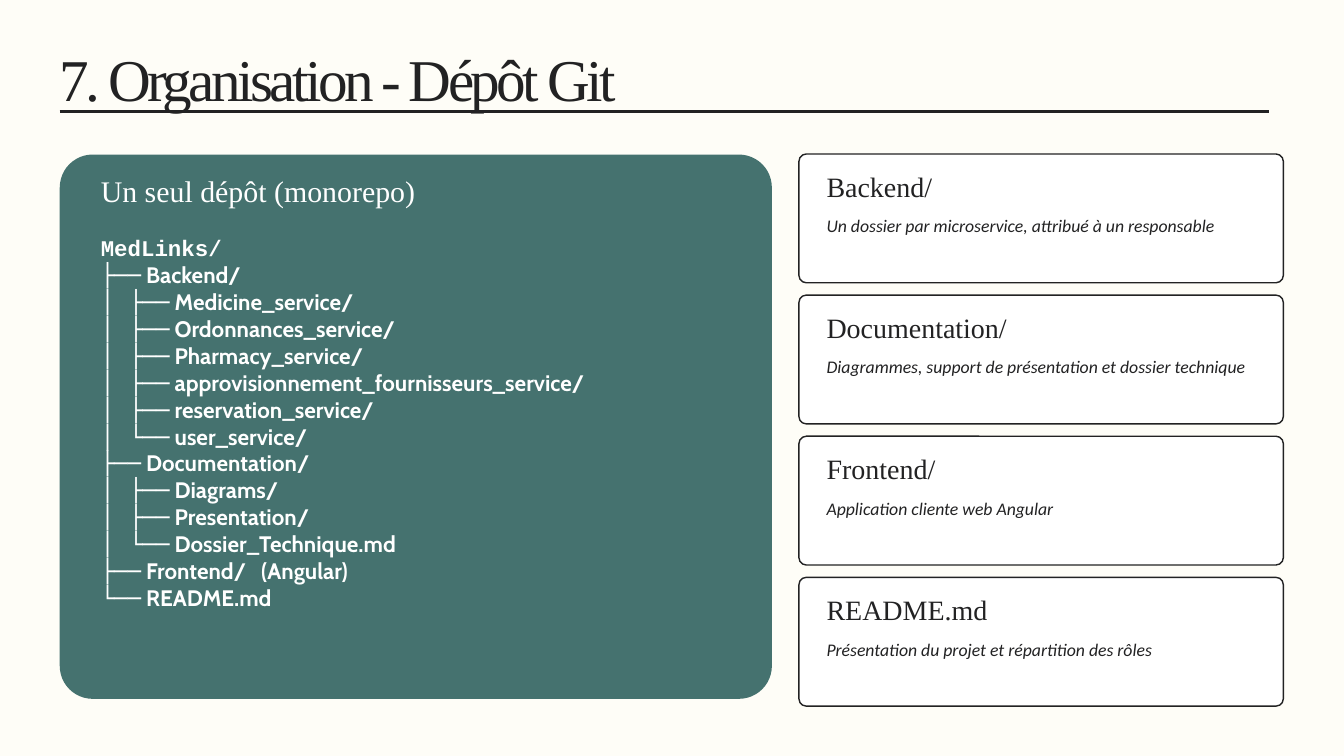
from lxml import etree
from pptx import Presentation
from pptx.dml.color import RGBColor
from pptx.enum.shapes import MSO_CONNECTOR, MSO_SHAPE
from pptx.oxml.ns import qn
from pptx.util import Pt

ROUNDED = MSO_SHAPE.ROUNDED_RECTANGLE
STRAIGHT = MSO_CONNECTOR.STRAIGHT

COLORS = {"paper": "FEFDF7", "ink": "222223", "teal": "45726F", "white": "FFFFFF"}
SERIF, SANS, MONO, TREE = "Times New Roman", "Calibri", "Courier New", "Cabin"

TREE_LINES = [
    "├── Backend/",
    "│   ├── Medicine_service/",
    "│   ├── Ordonnances_service/",
    "│   ├── Pharmacy_service/",
    "│   ├── approvisionnement_fournisseurs_service/",
    "│   ├── reservation_service/",
    "│   └── user_service/",
    "├── Documentation/",
    "│   ├── Diagrams/",
    "│   ├── Presentation/",
    "│   └── Dossier_Technique.md",
    "├── Frontend/   (Angular)",
    "└── README.md",
]

CARDS = [
    ("Backend/", "Un dossier par microservice, attribué à un responsable"),
    ("Documentation/", "Diagrammes, support de présentation et dossier technique"),
    ("Frontend/", "Application cliente web Angular"),
    ("README.md", "Présentation du projet et répartition des rôles"),
]
CARD_LEFT, CARD_TOP, CARD_WIDTH, CARD_HEIGHT = 856, 165, 519, 138
CARD_STEP = 151.2


def color(name):
    return RGBColor.from_string(COLORS[name])


def add_text_box(slide, left, top, width, height):
    """Add an empty wrapping text box without margins and return its text frame."""
    box = slide.shapes.add_textbox(Pt(left), Pt(top), Pt(width), Pt(height))
    frame = box.text_frame
    frame.word_wrap = True
    frame.margin_left = frame.margin_top = 0
    frame.margin_right = frame.margin_bottom = 0
    return frame


def write_line(paragraph, text, font, size, spacing, ink,
               bold=False, italic=False, tracking=0):
    paragraph.line_spacing = Pt(spacing)
    run = paragraph.add_run()
    run.text = text
    run.font.name = font
    run.font.size = Pt(size)
    run.font.bold = bold
    run.font.italic = italic
    run.font.color.rgb = color(ink)
    if tracking:
        run._r.get_or_add_rPr().set("spc", str(round(tracking * 100)))


def add_rounded_box(slide, left, top, width, height, radius, fill, outline=None):
    shape = slide.shapes.add_shape(ROUNDED, Pt(left), Pt(top), Pt(width), Pt(height))
    shape.shadow.inherit = False
    shape.adjustments[0] = radius / min(width, height)
    shape.fill.solid()
    shape.fill.fore_color.rgb = color(fill)
    if outline:
        shape.line.color.rgb = color(outline)
        shape.line.width = Pt(1.5)
    else:
        shape.line.fill.background()


def add_title(slide):
    frame = add_text_box(slide, 64, 64, 1172, 53)
    write_line(frame.paragraphs[0], "7. Organisation - Dépôt Git",
               SERIF, 63.4, 57.1, "ink", tracking=-3.8)
    rule = slide.shapes.add_connector(STRAIGHT, Pt(64), Pt(119.2), Pt(1359.4), Pt(119.2))
    rule.line.color.rgb = color("ink")
    rule.line.width = Pt(3.6)
    etree.SubElement(rule._element.spPr, qn("a:effectLst"))


def add_repository_panel(slide):
    add_rounded_box(slide, 64, 165.6, 763, 583.2, 35.3, "teal")
    heading = add_text_box(slide, 108, 185, 684, 45)
    write_line(heading.paragraphs[0], "Un seul dépôt (monorepo)",
               SERIF, 32, 38.4, "white")
    tree = add_text_box(slide, 108, 251.3, 705.6, 490)
    write_line(tree.paragraphs[0], "MedLinks/", MONO, 24, 28.8, "white", bold=True)
    for line in TREE_LINES:
        write_line(tree.add_paragraph(), line, TREE, 24, 28.8, "white", bold=True)


def add_card(slide, top, name, description):
    add_rounded_box(slide, CARD_LEFT, top, CARD_WIDTH, CARD_HEIGHT, 7.9, "white", "ink")
    text_left = CARD_LEFT + 29.6
    heading = add_text_box(slide, text_left, top + 16.5, 468, 45)
    write_line(heading.paragraphs[0], name, SERIF, 30, 36, "ink")
    body = add_text_box(slide, text_left, top + 65.5, 468, 65)
    write_line(body.paragraphs[0], description, SANS, 19, 22.8, "ink", italic=True)


def main():
    presentation = Presentation()
    presentation.slide_width = Pt(1440)
    presentation.slide_height = Pt(810)
    slide = presentation.slides.add_slide(presentation.slide_layouts[6])
    slide.background.fill.solid()
    slide.background.fill.fore_color.rgb = color("paper")

    add_title(slide)
    add_repository_panel(slide)
    for index, (name, description) in enumerate(CARDS):
        add_card(slide, CARD_TOP + index * CARD_STEP, name, description)

    presentation.save("out.pptx")


if __name__ == "__main__":
    main()
